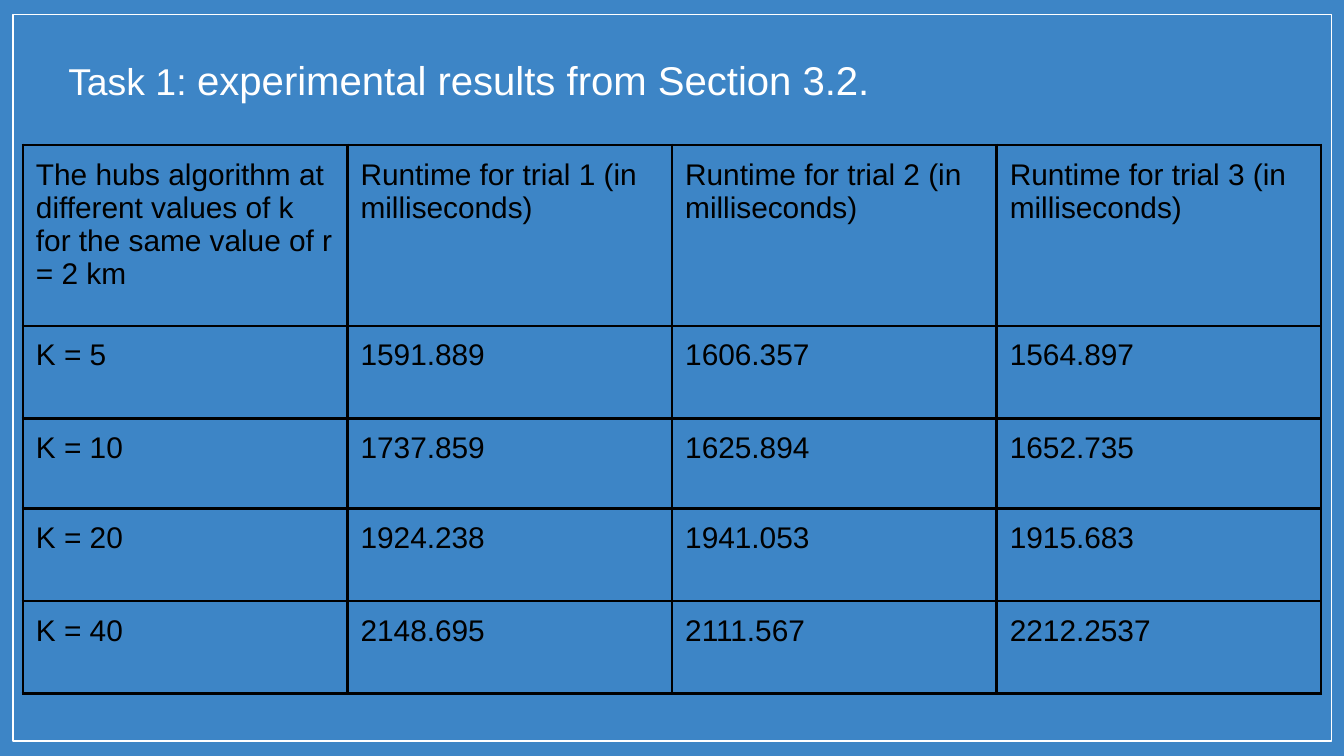
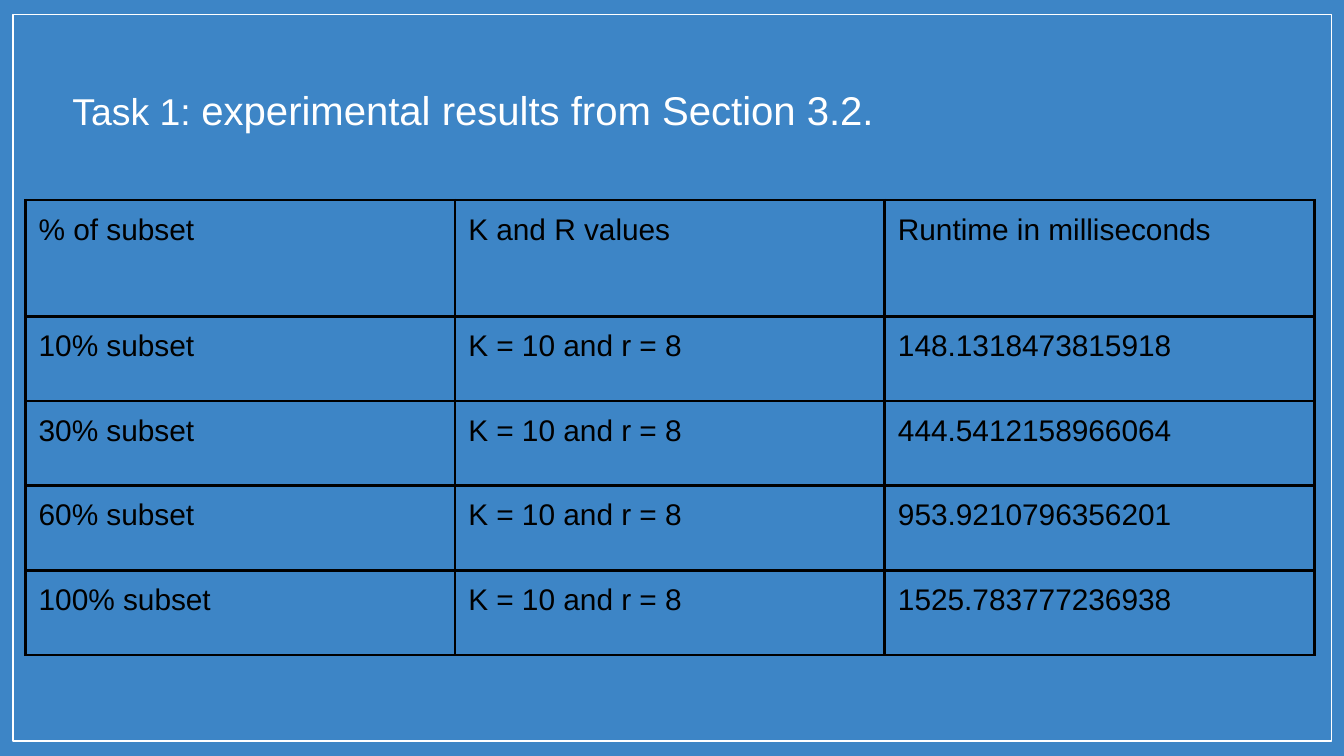
from lxml import etree
from pptx import Presentation
from pptx import util as u
from pptx.dml import color
from pptx.enum import text
from pptx.oxml import ns

COLORS = {"back": "3D85C6", "light": "FFFFFF", "dark": "000000"}
FONT = "Arial"
INSET = u.Cm(0.25)
MARGINS = {f"margin_{side}": INSET for side in ("left", "top", "right", "bottom")}
TITLE_FORMAT = {**MARGINS, "word_wrap": True, "auto_size": text.MSO_AUTO_SIZE.NONE,
                "vertical_anchor": text.MSO_ANCHOR.TOP}
CELL_FORMAT = {**MARGINS, "vertical_anchor": text.MSO_ANCHOR.TOP}
TABLE_FORMAT = {"first_row": False, "horz_banding": False}
TITLE = (("Task 1: ", 20), ("experimental results from Section 3.2.", 21.5))

SUBSETS = (
    (10, "148.1318473815918"),
    (30, "444.5412158966064"),
    (60, "953.9210796356201"),
    (100, "1525.783777236938"),
)
SLIDES = (
    {
        "title": (1.04, 0.79, 22.86, 1.14),
        "table": (0.43, 2.74, 24.54),
        "heights": (3.42, 1.75, 1.7, 1.75, 1.75),
        "rows": (
            ("The hubs algorithm at different values of k for the same value of r = 2 km",
             *(f"Runtime for trial {n} (in milliseconds)" for n in (1, 2, 3))),
            ("K = 5", "1591.889", "1606.357", "1564.897"),
            ("K = 10", "1737.859", "1625.894", "1652.735"),
            ("K = 20", "1924.238", "1941.053", "1915.683"),
            ("K = 40", "2148.695", "2111.567", "2212.2537"),
        ),
    },
    {
        "title": (1.12, 1.37, 22.86, 1.14),
        "table": (0.48, 3.78, 24.36),
        "heights": (2.2, 1.6, 1.6, 1.6, 1.6),
        "rows": (
            ("% of subset", "K and R values", "Runtime in milliseconds"),
            *((f"{share}% subset", "K = 10 and r = 8", runtime) for share, runtime in SUBSETS),
        ),
    },
)


def apply(obj, values):
    """Set each named attribute of an object."""
    for name, value in values.items():
        setattr(obj, name, value)


def rgb(name):
    """Return a palette colour."""
    return color.RGBColor.from_string(COLORS[name])


def add_run(p, words, size, tone):
    """Add a formatted run to a paragraph."""
    r = p.add_run()
    r.text = words
    apply(r.font, {"name": FONT, "size": u.Pt(size), "bold": False})
    r.font.color.rgb = rgb(tone)


def set_master(prs, s, box):
    """Give the master its background and thin frame."""
    master = prs.slide_master
    master.background.fill.solid()
    master.background.fill.fore_color.rgb = rgb("back")
    sp = s.shapes.add_shape(1, *map(u.Cm, box))
    sp.shadow.inherit = False
    sp.fill.background()
    sp.line.color.rgb = rgb("light")
    sp.line.width = u.Pt(0.75)
    sp.element.nvSpPr.cNvPr.set("id", "20")
    master.shapes.element.insert(2, sp.element)


def add_title(s, box):
    """Place the two-size heading in the title placeholder."""
    sp = s.shapes.title
    apply(sp, dict(zip(("left", "top", "width", "height"), map(u.Cm, box))))
    tf = sp.text_frame
    apply(tf, TITLE_FORMAT)
    p = tf.paragraphs[0]
    p.alignment = text.PP_ALIGN.LEFT
    for words, size in TITLE:
        add_run(p, words, size, "light")


def add_borders(cell):
    """Draw a solid line on the four sides of a cell."""
    tcPr = cell._tc.get_or_add_tcPr()
    for side in "LRTB":
        ln = etree.SubElement(tcPr, ns.qn(f"a:ln{side}"), w=str(u.Pt(1.5)))
        fill = etree.SubElement(ln, ns.qn("a:solidFill"))
        etree.SubElement(fill, ns.qn("a:srgbClr"), val=COLORS["dark"])


def add_results(s, box, heights, rows):
    """Place a ruled table with equal columns."""
    left, top, width = map(u.Cm, box)
    table = s.shapes.add_table(len(rows), len(rows[0]), left, top, width,
                               u.Cm(sum(heights))).table
    apply(table, TABLE_FORMAT)
    for row, height, values in zip(table.rows, heights, rows):
        row.height = u.Cm(height)
        for cell, value in zip(row.cells, values):
            apply(cell, CELL_FORMAT)
            add_borders(cell)
            cell.fill.background()
            add_run(cell.text_frame.paragraphs[0], value, 16, "dark")


def main():
    """Build the deck."""
    prs = Presentation()
    apply(prs, {"slide_width": u.Cm(25.4), "slide_height": u.Cm(14.29)})
    for number, parts in enumerate(SLIDES):
        s = prs.slides.add_slide(prs.slide_layouts.get_by_name("Title Only"))
        if number == 0:
            set_master(prs, s, (0.25, 0.27, 24.91, 13.74))
        add_title(s, parts["title"])
        add_results(s, parts["table"], parts["heights"], parts["rows"])
    prs.save("out.pptx")


if __name__ == "__main__":
    main()
